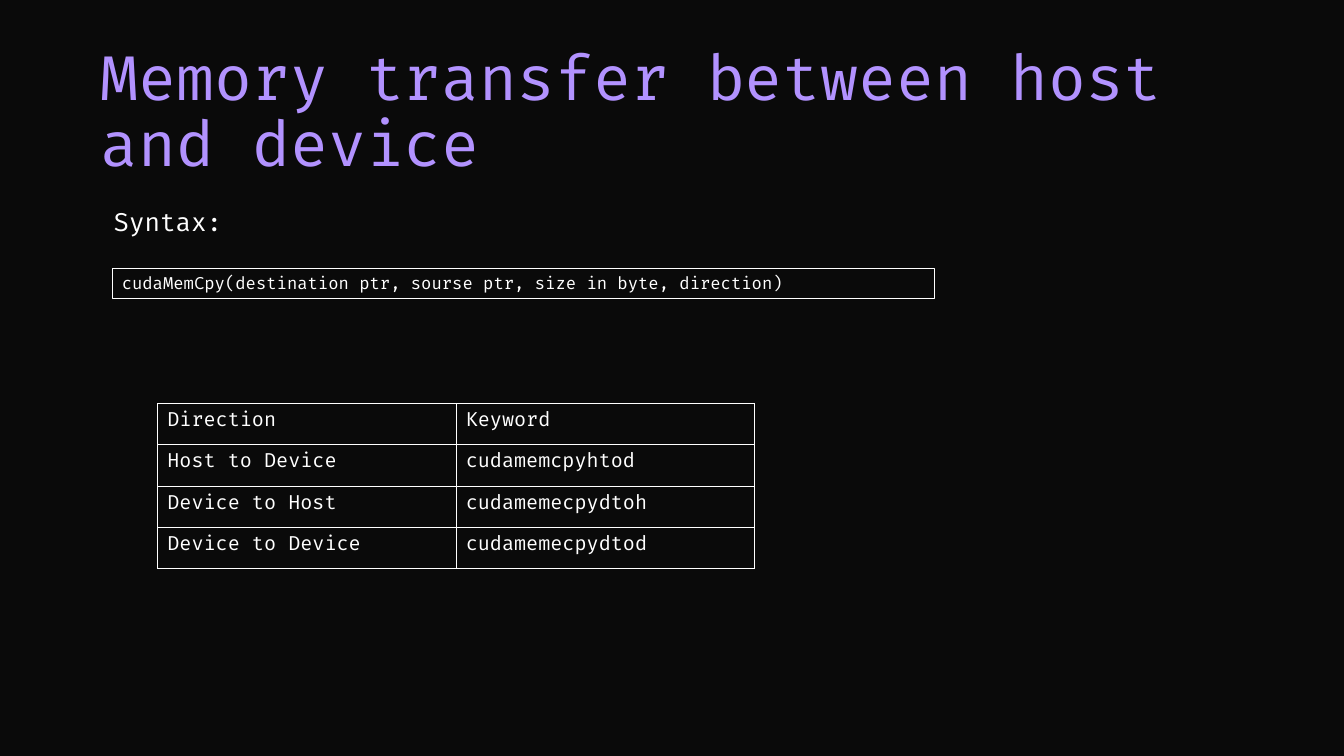
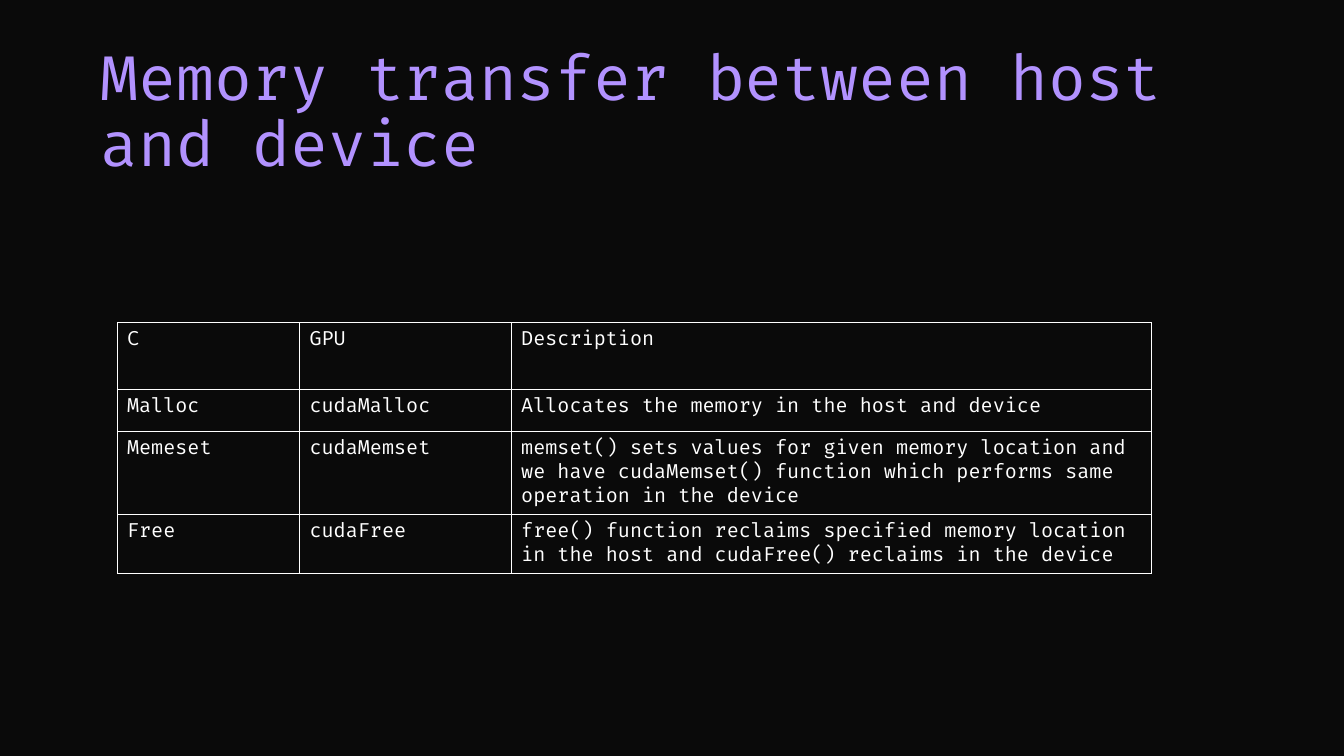
from lxml.etree import SubElement
from pptx import Presentation
from pptx.dml.color import RGBColor
from pptx.enum.shapes import MSO_SHAPE
from pptx.enum.text import MSO_ANCHOR, MSO_AUTO_SIZE, PP_ALIGN
from pptx.oxml.ns import qn
from pptx.util import Inches, Pt

FONT = "Fira Code"
BLACK = RGBColor(0x0A, 0x0A, 0x0A)
WHITE = RGBColor(0xFF, 0xFF, 0xFF)
PURPLE = RGBColor(0xB2, 0x92, 0xFF)
RULE = Pt(0.25)

TITLE = "Memory transfer between host and device"
SYNTAX = "cudaMemCpy(destination ptr, sourse ptr, size in byte, direction)"
DIRECTIONS = [
    ("Direction", "Keyword"),
    ("Host to Device", "cudamemcpyhtod"),
    ("Device to Host", "cudamemecpydtoh"),
    ("Device to Device", "cudamemecpydtod"),
]
FUNCTIONS = [
    ("C", "GPU", "Description"),
    ("Malloc", "cudaMalloc", "Allocates the memory in the host and device"),
    ("Memeset", "cudaMemset",
     "memset() sets values for given memory location and we have "
     "cudaMemset() function which performs same operation in the device"),
    ("Free", "cudaFree",
     "free() function reclaims specified memory location in the host "
     "and cudaFree() reclaims in the device"),
]


def write(tf, text, size, color=WHITE):
    tf.text = text
    p = tf.paragraphs[0]
    p.alignment = PP_ALIGN.LEFT
    p.font.name, p.font.size, p.font.color.rgb = FONT, Pt(size), color
    return p


def add_titled_slide(prs):
    s = prs.slides.add_slide(prs.slide_layouts.get_by_name("Title Only"))
    title = s.shapes.title
    title.left, title.top = Inches(0.9), Inches(0.4)
    title.width, title.height = Inches(11.5), Inches(1.45)
    tf = title.text_frame
    tf.auto_size = MSO_AUTO_SIZE.NONE
    tf.vertical_anchor = MSO_ANCHOR.MIDDLE
    write(tf, TITLE, 44, PURPLE).line_spacing = 0.9
    return s


def add_borders(cell):
    tcPr = cell._tc.get_or_add_tcPr()
    for side in "LRTB":
        ln = SubElement(tcPr, qn(f"a:ln{side}"), w=str(RULE))
        fill = SubElement(ln, qn("a:solidFill"))
        SubElement(fill, qn("a:srgbClr"), val=str(WHITE))


def add_grid(s, rows, left, top, widths, heights):
    """Add an unfilled table with thin white rules; sizes are in inches."""
    table = s.shapes.add_table(
        len(rows), len(widths), Inches(left), Inches(top),
        Inches(sum(widths)), Inches(sum(heights))).table
    table.first_row = table.horz_banding = False
    for column, width in zip(table.columns, widths):
        column.width = Inches(width)
    for row, height, texts in zip(table.rows, heights, rows):
        row.height = Inches(height)
        for cell, text in zip(row.cells, texts):
            write(cell.text_frame, text, 14)
            add_borders(cell)
            cell.fill.background()


def add_syntax(s):
    label = s.shapes.add_textbox(Inches(1.03), Inches(2), Inches(6.67), Inches(0.4))
    label.text_frame.word_wrap = True
    write(label.text_frame, "Syntax:", 18)

    box = s.shapes.add_shape(MSO_SHAPE.RECTANGLE, Inches(1.11), Inches(2.66),
                             Inches(8.16), Inches(0.3))
    box.shadow.inherit = False
    box.fill.background()
    box.line.color.rgb, box.line.width = WHITE, RULE
    box.text_frame.vertical_anchor = MSO_ANCHOR.TOP
    write(box.text_frame, SYNTAX, 12)


def main():
    prs = Presentation()
    prs.slide_width, prs.slide_height = Inches(13.33), Inches(7.5)
    background = prs.slide_master.background.fill
    background.solid()
    background.fore_color.rgb = BLACK

    s = add_titled_slide(prs)
    add_syntax(s)
    add_grid(s, DIRECTIONS, 1.56, 4, [2.96] * 2, [0.41] * 4)

    s = add_titled_slide(prs)
    add_grid(s, FUNCTIONS, 1.16, 3.2, [1.81, 2.1, 6.35], [0.66, 0.42, 0.82, 0.58])

    prs.save("out.pptx")


if __name__ == "__main__":
    main()
